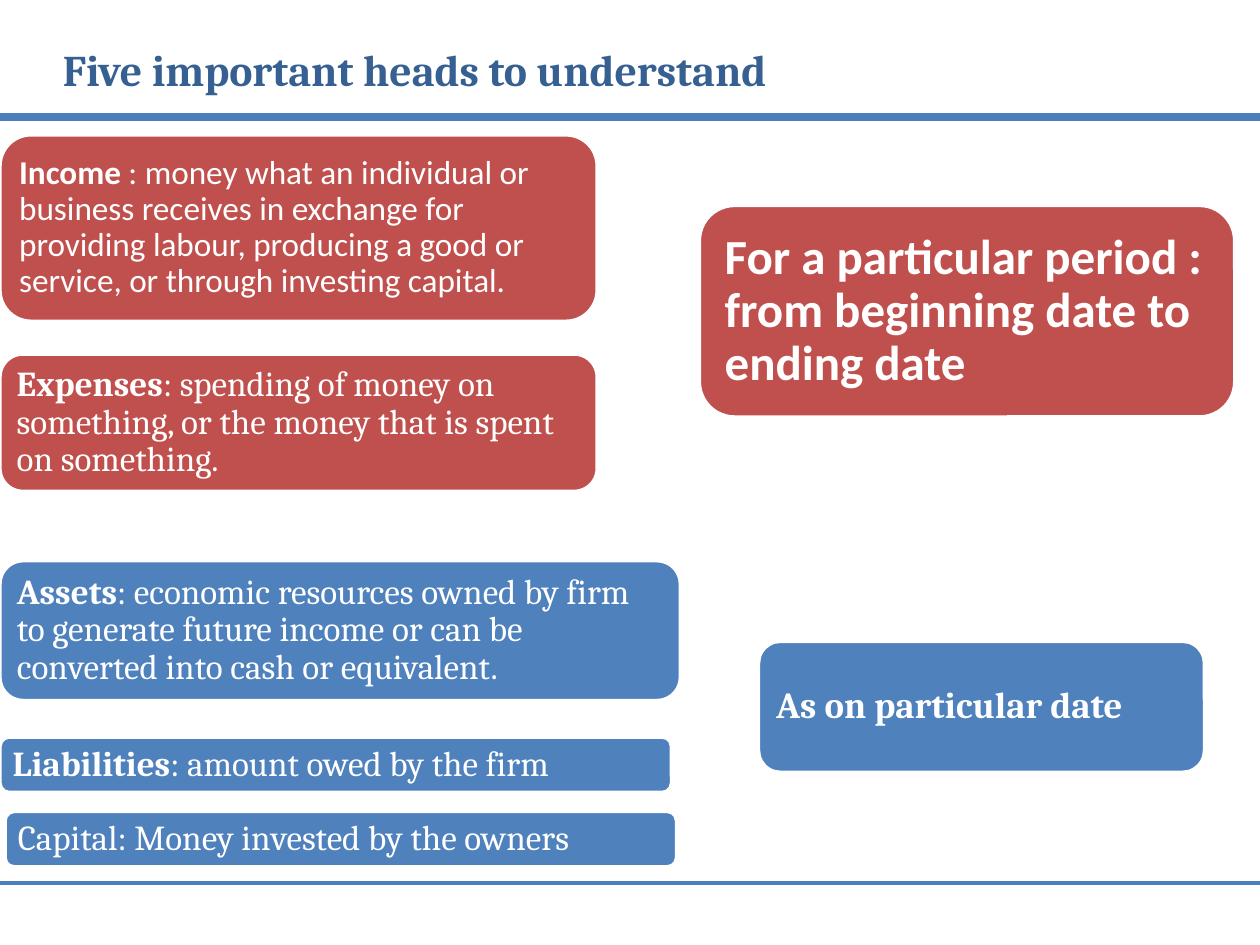
import pptx
import pptx.dml.color
import pptx.enum.shapes
import pptx.enum.text
import pptx.oxml.ns
import pptx.util
from lxml import etree

Inches, Pt = pptx.util.Inches, pptx.util.Pt

COLORS = {"red": "C0504D", "blue": "4F81BD", "rule": "4B7EBC",
          "title": "376092", "white": "FFFFFF"}

# Content: each text is a list of (words, bold)
TITLE = [("Five important heads to understand", True)]
RULES = [(0.93, 4.5), (7.01, 2.25)]  # top, weight
CARDS = [
    {"box": (0, 2.81, 4.74, 1.09), "fill": "red", "font": "Cambria", "size": 20, "inset": 0.08,
     "text": [("Expenses", True),
              (": spending of money on something, or the money that is spent on something.", False)]},
    {"box": (0, 1.07, 4.74, 1.48), "fill": "red", "font": "Calibri", "size": 19, "inset": 0.08,
     "text": [("Income", True),
              (" : money what an individual or business receives in exchange for providing "
               "labour, producing a good or service, or through investing capital.", False)]},
    {"box": (0, 4.45, 5.4, 1.11), "fill": "blue", "font": "Cambria", "size": 20, "inset": 0.08,
     "text": [("Assets", True),
              (": economic resources owned by firm to generate future income or can be "
               "converted into cash or equivalent.", False)]},
    {"box": (0, 5.85, 5.33, 0.44), "fill": "blue", "font": "Cambria", "size": 20, "inset": 0.08,
     "text": [("Liabilities", True), (": amount owed by the firm", False)]},
    {"box": (5.55, 1.63, 4.25, 1.68), "fill": "red", "font": "Calibri", "size": 28, "inset": 0.12,
     "text": [("For a particular period : from beginning date to ending date", True)]},
    {"box": (6.02, 5.09, 3.54, 1.04), "fill": "blue", "font": "Cambria", "size": 21, "inset": 0.09,
     "text": [("As on particular date", True)]},
    {"box": (0.04, 6.44, 5.33, 0.44), "fill": "blue", "font": "Cambria", "size": 20, "inset": 0.08,
     "text": [("Capital: Money invested by the owners", False)]},
]


def rgb(name):
    return pptx.dml.color.RGBColor.from_string(COLORS[name])


def write_text(shape, text, *, font, size, color, spacing=None):
    paragraph = shape.text_frame.paragraphs[0]
    paragraph.alignment = pptx.enum.text.PP_ALIGN.LEFT
    paragraph.line_spacing = spacing
    for words, bold in text:
        run = paragraph.add_run()
        run.text = words
        run.font.name, run.font.size, run.font.bold = font, Pt(size), bold
        run.font.color.rgb = rgb(color)


def add_rule(slide, top, weight):
    line = slide.shapes.add_connector(pptx.enum.shapes.MSO_CONNECTOR.STRAIGHT,
                                      0, Inches(top), Inches(10), Inches(top))
    line.line.color.rgb = rgb("rule")
    line.line.width = Pt(weight)
    etree.SubElement(line.element.spPr, pptx.oxml.ns.qn("a:effectLst"))


def add_card(slide, card):
    shape = slide.shapes.add_shape(pptx.enum.shapes.MSO_SHAPE.ROUNDED_RECTANGLE,
                                   *map(Inches, card["box"]))
    shape.shadow.inherit = False
    shape.fill.solid()
    shape.fill.fore_color.rgb = rgb(card["fill"])
    shape.line.color.rgb = rgb("white")
    shape.line.width = Pt(2)
    frame = shape.text_frame
    frame.word_wrap = True
    frame.vertical_anchor = pptx.enum.text.MSO_ANCHOR.MIDDLE
    inset = Inches(card["inset"])
    frame.margin_left = frame.margin_right = frame.margin_top = frame.margin_bottom = inset
    write_text(shape, card["text"], font=card["font"], size=card["size"],
               color="white", spacing=0.9)


def main():
    presentation = pptx.Presentation()
    presentation.slide_width, presentation.slide_height = Inches(10), Inches(7.5)
    slide = presentation.slides.add_slide(presentation.slide_layouts[6])

    # Rules above and below the body
    for top, weight in RULES:
        add_rule(slide, top, weight)

    # Title
    title = slide.shapes.add_textbox(Inches(0.4), Inches(0.29), Inches(6.12), Inches(0.52))
    title.text_frame.word_wrap = False
    title.text_frame.auto_size = pptx.enum.text.MSO_AUTO_SIZE.SHAPE_TO_FIT_TEXT
    write_text(title, TITLE, font="Cambria", size=25, color="title")

    # Definitions and their time spans
    for card in CARDS:
        add_card(slide, card)

    presentation.save("out.pptx")


if __name__ == "__main__":
    main()
